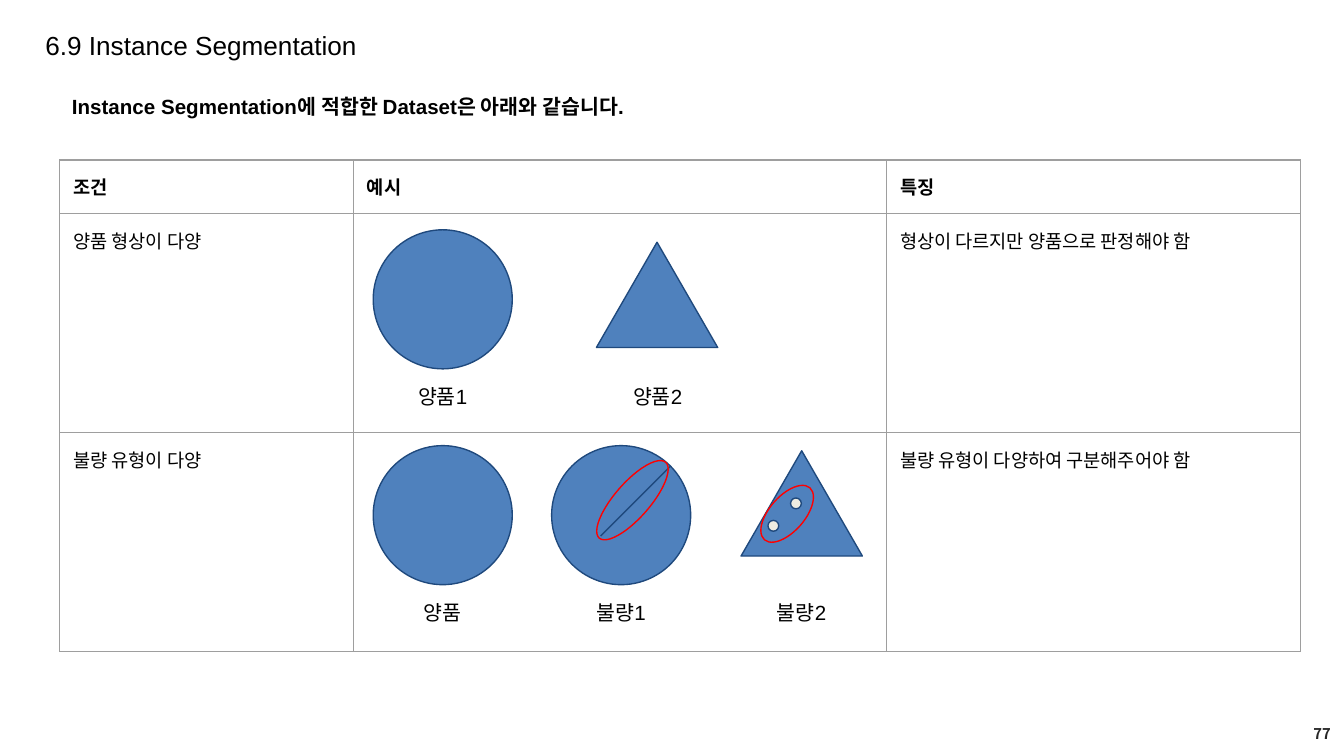
"""Build the slide on datasets suited to instance segmentation."""
from dataclasses import dataclass
from typing import Any, Optional

from lxml.etree import SubElement
from pptx import Presentation
from pptx.dml.color import RGBColor
from pptx.enum.shapes import MSO_CONNECTOR, MSO_SHAPE
from pptx.enum.text import MSO_ANCHOR, PP_ALIGN
from pptx.oxml.ns import qn
from pptx.util import Pt

COLORS = {"text": "000000", "page": "262626", "grid": "9E9E9E", "part": "4F81BD",
          "edge": "1F497D", "defect": "FF0000", "hole": "EEECE1"}
LINE_W = 0.75
CIRCLE, TRIANGLE, OVAL = (MSO_SHAPE.FLOWCHART_CONNECTOR, MSO_SHAPE.ISOSCELES_TRIANGLE,
                          MSO_SHAPE.OVAL)


@dataclass
class Figure:
    kind: Any
    cx: float
    cy: float
    w: float
    h: float
    fill: Optional[str] = "part"
    line: str = "edge"
    rotation: float = 0


@dataclass
class Label:
    text: str
    x: float
    y: float
    w: float
    h: float
    size: float = 11
    bold: bool = False
    align: Any = PP_ALIGN.LEFT
    anchor: Any = MSO_ANCHOR.TOP
    spacing: float = 1.0
    font: str = "Arial"
    color: str = "text"


def rgb(name: str) -> RGBColor:
    return RGBColor.from_string(COLORS[name])


def set_attrs(obj: Any, values: dict) -> None:
    for name, value in values.items():
        setattr(obj, name, value)


def write(p: Any, text: str, size: float, bold: bool, font: str = "Arial",
          color: str = "text") -> None:
    r = p.add_run()
    r.text = text
    set_attrs(r.font, {"name": font, "size": Pt(size), "bold": bold})
    r.font.color.rgb = rgb(color)


def add_label(s: Any, label: Label) -> None:
    tf = s.shapes.add_textbox(Pt(label.x), Pt(label.y), Pt(label.w), Pt(label.h)).text_frame
    set_attrs(tf, {"word_wrap": True, "vertical_anchor": label.anchor})
    p = tf.paragraphs[0]
    set_attrs(p, {"alignment": label.align, "line_spacing": label.spacing})
    write(p, label.text, label.size, label.bold, label.font, label.color)


def add_figure(s: Any, fig: Figure) -> None:
    sp = s.shapes.add_shape(fig.kind, Pt(fig.cx - fig.w / 2), Pt(fig.cy - fig.h / 2),
                            Pt(fig.w), Pt(fig.h))
    sp.shadow.inherit = False
    sp.rotation = fig.rotation
    if fig.fill:
        sp.fill.solid()
        sp.fill.fore_color.rgb = rgb(fig.fill)
    else:
        sp.fill.background()
    sp.line.width = Pt(LINE_W)
    sp.line.color.rgb = rgb(fig.line)


def add_scratch(s: Any, x1: float, y1: float, x2: float, y2: float) -> None:
    cn = s.shapes.add_connector(MSO_CONNECTOR.STRAIGHT, Pt(x1), Pt(y1), Pt(x2), Pt(y2))
    cn.line.width = Pt(LINE_W)
    cn.line.color.rgb = rgb("edge")
    SubElement(cn.element.spPr, qn("a:effectLst"))


def add_borders(cell: Any) -> None:
    pr = cell._tc.get_or_add_tcPr()
    for i, side in enumerate(("a:lnL", "a:lnR", "a:lnT", "a:lnB")):
        ln = pr.makeelement(qn(side), {"w": str(Pt(LINE_W))})
        fill = SubElement(ln, qn("a:solidFill"))
        SubElement(fill, qn("a:srgbClr"), val=COLORS["grid"])
        pr.insert(i, ln)


def add_grid(s: Any, x: float, y: float, widths: list[float], heights: list[float],
             rows: list[tuple[str, ...]]) -> None:
    frame = s.shapes.add_table(len(rows), len(widths), Pt(x), Pt(y),
                               Pt(sum(widths)), Pt(sum(heights)))
    table = frame.table
    set_attrs(table, {"first_row": False, "horz_banding": False})
    for col, width in zip(table.columns, widths):
        col.width = Pt(width)
    for i, (row, height, texts) in enumerate(zip(table.rows, heights, rows)):
        row.height = Pt(height)
        for cell, text in zip(row.cells, texts):
            set_attrs(cell, {f"margin_{side}": Pt(7.2)
                             for side in ("left", "right", "top", "bottom")})
            cell.fill.background()
            add_borders(cell)
            if text:
                write(cell.text_frame.paragraphs[0], text, 10, i == 0)


def circle(cx: float, cy: float) -> Figure:
    return Figure(CIRCLE, cx, cy, 74.5, 74.5)


def triangle(cx: float, cy: float) -> Figure:
    return Figure(TRIANGLE, cx, cy, 65, 56.4)


def defect(cx: float, cy: float, h: float) -> Figure:
    return Figure(OVAL, cx, cy, 18.8, h, None, "defect", 41.2)


def hole(cx: float, cy: float) -> Figure:
    return Figure(OVAL, cx, cy, 5.8, 5.8, "hole")


def caption(text: str, cx: float, y: float) -> Label:
    return Label(text, cx - 26.3, y, 52.6, 20.6, align=PP_ALIGN.CENTER)


def main() -> None:
    prs = Presentation()
    set_attrs(prs, {"slide_width": Pt(720), "slide_height": Pt(405)})
    s = prs.slides.add_slide(prs.slide_layouts[6])
    add_grid(s, 32, 85.7, [157.4, 285.6, 221.6], [28.4, 117.2, 117.2], [
        ("조건", "예시", "특징"),
        ("양품 형상이 다양", "", "형상이 다르지만 양품으로 판정해야 함"),
        ("불량 유형이 다양", "", "불량 유형이 다양하여 구분해주어야 함"),
    ])
    good_x, bad1_x, bad2_x, good2_x = 237.2, 332.8, 429.5, 352
    good_y, bad_y = 160.4, 276
    for fig in (circle(good_x, good_y), triangle(good2_x, 158),
                circle(good_x, bad_y), circle(bad1_x, bad_y), triangle(bad2_x, 269.7),
                defect(421.7, 275.3, 37), hole(414.3, 281.7), hole(426.4, 269.7)):
        add_figure(s, fig)
    add_scratch(s, 359.2, 249.8, 321.8, 287.2)
    add_figure(s, defect(338.8, 268, 54))
    for label in (
            Label("6.9 Instance Segmentation", 17.2, 3.6, 625.6, 32.4, 14, spacing=1.5),
            Label("Instance Segmentation에 적합한 Dataset은 아래와 같습니다.",
                  31.5, 46.8, 645, 20.6, bold=True),
            caption("양품1", good_x, 202.4), caption("양품2", good2_x + 0.4, 202.4),
            caption("양품", good_x, 317.8), caption("불량1", bad1_x, 317.8),
            caption("불량2", bad2_x, 317.8),
            Label("77", 558, 382.3, 162, 21.6, 7.9, True, PP_ALIGN.RIGHT,
                  MSO_ANCHOR.MIDDLE, font="Noto Sans CJK KR", color="page")):
        add_label(s, label)
    prs.save("out.pptx")


if __name__ == "__main__":
    main()
